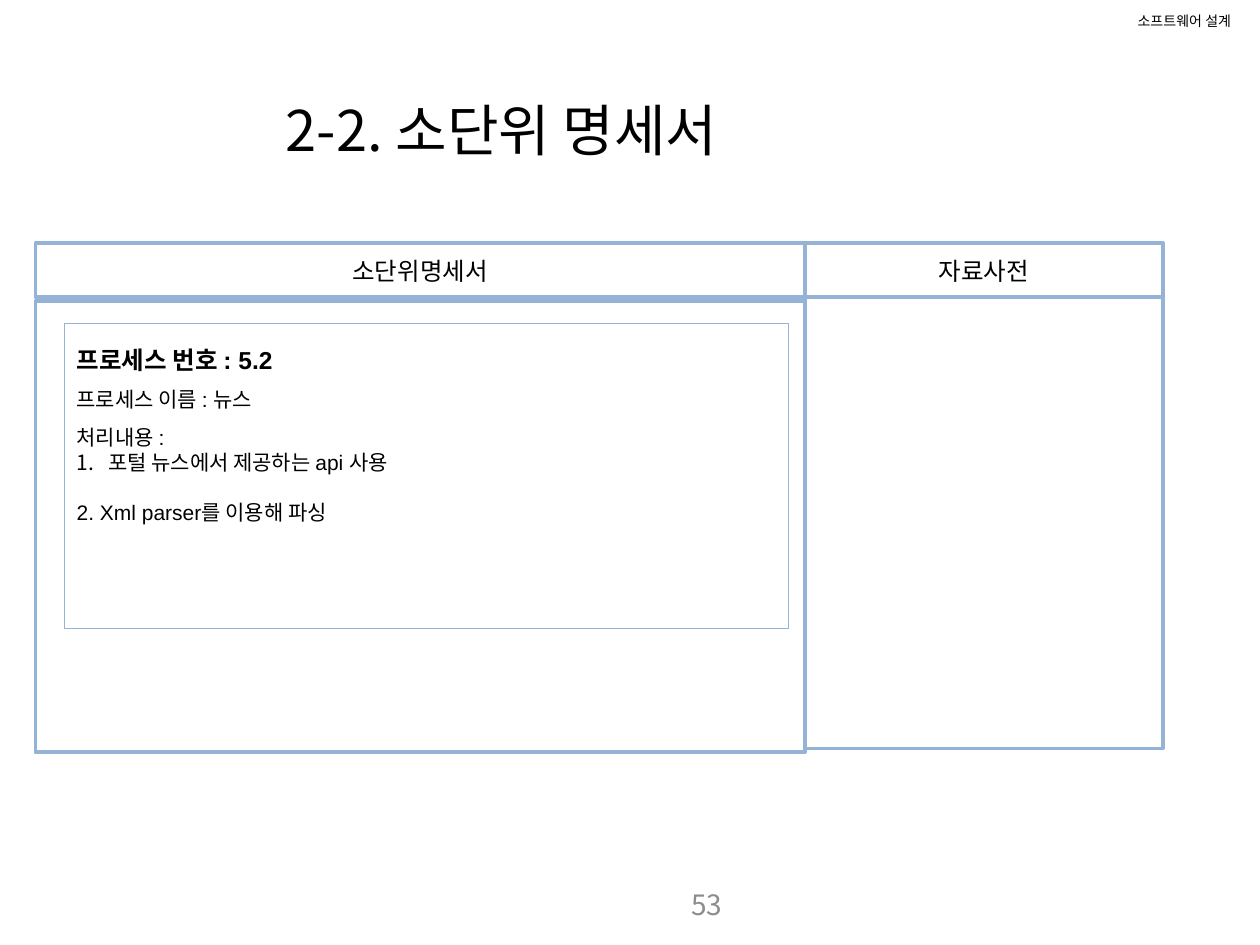
import dataclasses
import typing

import lxml.etree
import pptx
import pptx.dml.color
import pptx.enum.shapes
import pptx.enum.text
import pptx.oxml.ns
import pptx.util

Inches = pptx.util.Inches
Pt = pptx.util.Pt
Align = pptx.enum.text.PP_ALIGN
Anchor = pptx.enum.text.MSO_ANCHOR
AutoSize = pptx.enum.text.MSO_AUTO_SIZE


@dataclasses.dataclass(frozen=True)
class Theme:
    korean: str = "Noto Sans CJK KR"
    latin: str = "Arial"
    ink: str = "000000"
    muted: str = "8C8C8C"
    paper: str = "FFFFFF"
    border: str = "95B3D7"
    title_size: float = 32
    page_size: float = 16
    heading_size: float = 14
    body_size: float = 12
    tag_size: float = 8
    frame_line: float = 2
    detail_line: float = 0.75


THEME = Theme()


@dataclasses.dataclass(frozen=True)
class Box:
    left: float
    top: float
    width: float
    height: float

    def lengths(self) -> list:
        return [Inches(n) for n in dataclasses.astuple(self)]


@dataclasses.dataclass(frozen=True)
class Line:
    text: str
    size: float
    font: str = THEME.korean
    color: str = THEME.ink
    bold: bool = False
    align: typing.Any = Align.LEFT
    spacing: float = 1.0
    before: float = 0
    numbered: bool = False


@dataclasses.dataclass(frozen=True)
class Column:
    heading: str
    left: float
    width: float
    body_top: float


def rgb(value: str):
    return pptx.dml.color.RGBColor.from_string(value)


def add_numbering(paragraph) -> None:
    props = paragraph._p.get_or_add_pPr()
    props.set("marL", str(Inches(0.25)))
    props.set("indent", str(-Inches(0.25)))
    qn = pptx.oxml.ns.qn
    lxml.etree.SubElement(props, qn("a:buFont"), typeface=THEME.korean)
    lxml.etree.SubElement(props, qn("a:buAutoNum"), type="arabicPeriod")


def write(frame, lines: list[Line]) -> None:
    for index, line in enumerate(lines):
        paragraph = frame.paragraphs[0] if index == 0 else frame.add_paragraph()
        if line.numbered:
            add_numbering(paragraph)
        paragraph.alignment = line.align
        paragraph.line_spacing = line.spacing
        if line.before:
            paragraph.space_before = Pt(line.before)
        run = paragraph.add_run()
        run.text = line.text
        run.font.size = Pt(line.size)
        run.font.bold = line.bold
        run.font.name = line.font
        run.font.color.rgb = rgb(line.color)
        lxml.etree.SubElement(run._r.get_or_add_rPr(), pptx.oxml.ns.qn("a:ea"),
                              typeface=THEME.korean)


def add_panel(slide, box: Box, weight: float, filled: bool = True):
    panel = slide.shapes.add_shape(
        pptx.enum.shapes.MSO_SHAPE.RECTANGLE, *box.lengths())
    panel.shadow.inherit = False
    if filled:
        panel.fill.solid()
        panel.fill.fore_color.rgb = rgb(THEME.paper)
    else:
        panel.fill.background()
    panel.line.color.rgb = rgb(THEME.border)
    panel.line.width = Pt(weight)
    return panel


def add_heading(slide, box: Box, text: str) -> None:
    frame = add_panel(slide, box, THEME.frame_line).text_frame
    frame.word_wrap = True
    frame.vertical_anchor = Anchor.MIDDLE
    frame.margin_left = frame.margin_right = Inches(0.02)
    frame.margin_top = frame.margin_bottom = Inches(0.02)
    write(frame, [Line(text, THEME.heading_size, align=Align.CENTER)])


def add_label(slide, box: Box, line: Line, wrap: bool = True,
              grow: bool = True, anchor=Anchor.TOP) -> None:
    frame = slide.shapes.add_textbox(*box.lengths()).text_frame
    frame.word_wrap = wrap
    frame.auto_size = AutoSize.SHAPE_TO_FIT_TEXT if grow else AutoSize.NONE
    frame.vertical_anchor = anchor
    write(frame, [line])


HEADING_TOP, HEADING_HEIGHT, BODY_HEIGHT = 1.93, 0.43, 3.58
COLUMNS = [
    Column("소단위명세서", 0.28, 6.11, 2.39),
    Column("자료사전", 6.39, 2.84, 2.36),
]
SPECIFICATION = [
    Line("프로세스 번호 : 5.2", THEME.heading_size, THEME.latin, bold=True, spacing=1.5),
    Line("프로세스 이름 : 뉴스", THEME.body_size, THEME.latin, spacing=1.5),
    Line("처리내용 :", THEME.body_size, THEME.latin, spacing=1.5),
    Line("포털 뉴스에서 제공하는 api 사용", THEME.body_size, THEME.latin, numbered=True),
    Line("2. Xml parser를 이용해 파싱", THEME.body_size, THEME.latin, before=14),
]


def main() -> None:
    presentation = pptx.Presentation()
    presentation.slide_width = Inches(10)
    presentation.slide_height = Inches(7.5)
    slide = presentation.slides.add_slide(presentation.slide_layouts[6])

    # Column frames and headings
    for column in COLUMNS:
        add_panel(slide, Box(column.left, column.body_top, column.width, BODY_HEIGHT),
                  THEME.frame_line)
        add_heading(slide, Box(column.left, HEADING_TOP, column.width, HEADING_HEIGHT),
                    column.heading)

    # Process specification
    specification = add_panel(slide, Box(0.51, 2.57, 5.75, 2.42),
                              THEME.detail_line, filled=False).text_frame
    specification.word_wrap = True
    specification.vertical_anchor = Anchor.TOP
    write(specification, SPECIFICATION)

    # Subject tag, title and page number
    add_label(slide, Box(8.93, 0.05, 1.01, 0.24),
              Line("소프트웨어 설계", THEME.tag_size), wrap=False)
    add_label(slide, Box(2.17, 0.71, 4.24, 0.64),
              Line("2-2. 소단위 명세서", THEME.title_size))
    add_label(slide, Box(3.5, 6.98, 2.33, 0.4),
              Line("53", THEME.page_size, color=THEME.muted, align=Align.RIGHT),
              grow=False, anchor=Anchor.MIDDLE)

    presentation.save("out.pptx")


if __name__ == "__main__":
    main()
